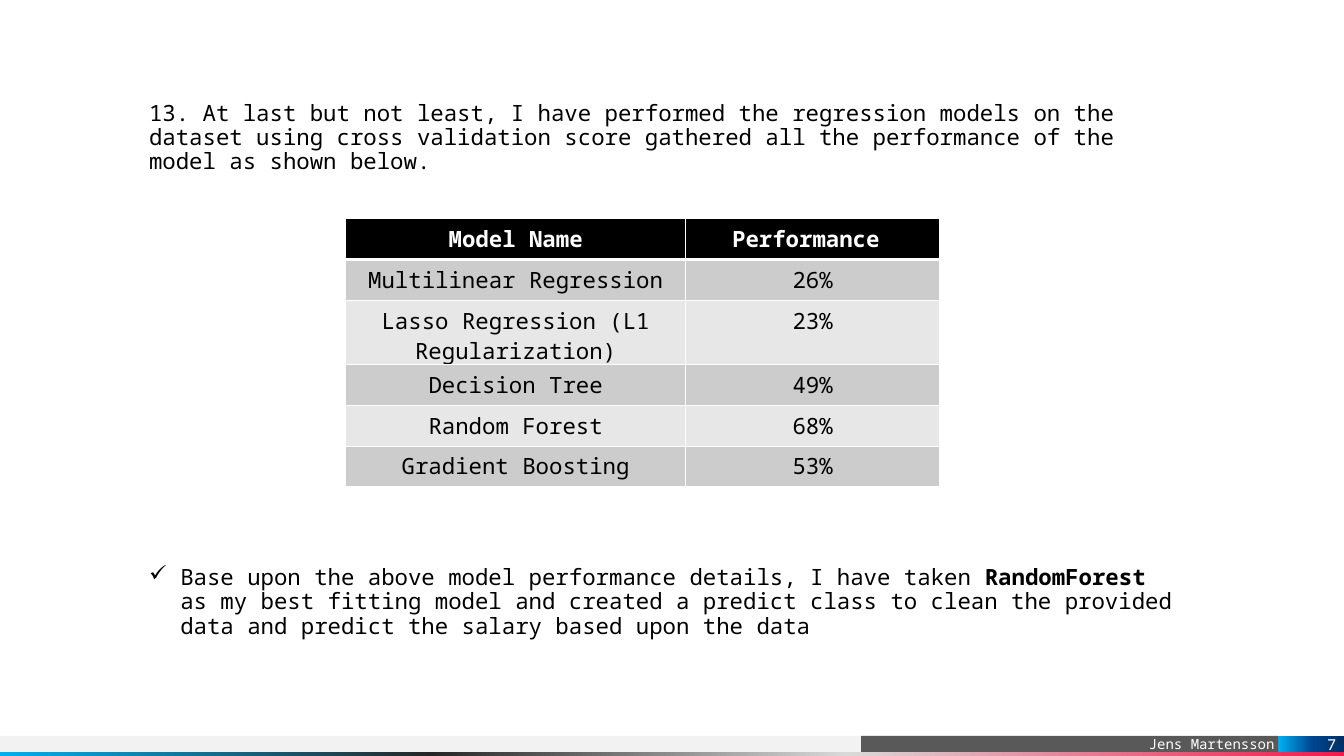
from lxml.etree import SubElement
from pptx import Presentation
from pptx.dml.color import RGBColor
from pptx.enum.shapes import MSO_SHAPE as Shape
from pptx.enum.text import MSO_ANCHOR as Anchor, MSO_AUTO_SIZE as AutoSize, PP_ALIGN as Align
from pptx.oxml.ns import qn
from pptx.util import Inches, Pt

INTRO = [("13. At last but not least, I have performed the regression models on the dataset "
          "using cross validation score gathered all the performance of the model as shown below.", False)]
MODELS = [
    ("Model Name", "Performance "),
    ("Multilinear Regression", "26%"),
    ("Lasso Regression (L1 Regularization)", "23%"),
    ("Decision Tree", "49%"),
    ("Random Forest", "68%"),
    ("Gradient Boosting", "53%"),
]
CONCLUSION = [
    ("Base upon the above model performance details, I have taken ", False),
    ("RandomForest ", True),
    (" as my best fitting model and created a predict class to clean the provided data "
     "and predict the salary based upon the data", False),
]
AUTHOR, PAGE = "Jens Martensson", "7"


class Theme:
    font, number_font = "Noto Sans Mono", "Calibri"
    body, footer, number = 16, 10, 12
    ink, paper = "000000", "FFFFFF"
    bands = ("E7E7E7", "CCCCCC")
    pale, dark = "F2F2F2", "595959"
    stripe = ((0, "F2194A"), (37, "D9D9D9"), (68, "262626"), (100, "00B0F0"))
    badge = ((0, "003065"), (47, "004490"), (100, "00B0F0"))


WIDTH, HEIGHT = 13.33, 7.5
LEFT = 1.38
TABLE_BOX = (3.43, 2.17, 5.89, 2.66)
COLUMNS = (3.37, 2.52)
ROW_HEIGHT = Pt(29.2)
STRIPE_HEIGHT, BAR_HEIGHT = 0.04, 0.16
BAR_TOP = HEIGHT - STRIPE_HEIGHT - BAR_HEIGHT
BADGE_WIDTH, AUTHOR_WIDTH = 0.65, 4.14


def write(frame, runs, size=Theme.body, font=Theme.font, color=Theme.ink,
          align=Align.LEFT, spacing=None, bullet=None):
    paragraph = frame.paragraphs[0]
    paragraph.alignment = align
    if spacing:
        paragraph.line_spacing = spacing
    if bullet:
        properties = paragraph._p.get_or_add_pPr()
        properties.set("marL", str(Inches(0.31)))
        properties.set("indent", str(-Inches(0.31)))
        SubElement(properties, qn("a:buChar")).set("char", bullet)
    for text, bold in runs:
        run = paragraph.add_run()
        run.text = text
        run.font.name, run.font.size, run.font.bold = font, Pt(size), bold
        run.font.color.rgb = RGBColor.from_string(color)


def add_text(slide, top, width, runs, **style):
    box = slide.shapes.add_textbox(*map(Inches, (LEFT, top, width, 0.91)))
    box.text_frame.word_wrap = True
    box.text_frame.auto_size = AutoSize.SHAPE_TO_FIT_TEXT
    write(box.text_frame, runs, spacing=0.9, **style)


def add_bar(slide, left, top, width, height, color=None, stops=()):
    bar = slide.shapes.add_shape(Shape.RECTANGLE, *map(Inches, (left, top, width, height)))
    bar.shadow.inherit = False
    bar.line.fill.background()
    if color:
        bar.fill.solid()
        bar.fill.fore_color.rgb = RGBColor.from_string(color)
        return bar
    bar.fill.gradient()
    gradient = bar._element.spPr.find(qn("a:gradFill"))
    gradient.find(qn("a:lin")).set("ang", str(180 * 60000))
    stop_list = gradient.find(qn("a:gsLst"))
    for stop in list(stop_list):
        stop_list.remove(stop)
    for position, stop_color in stops:
        stop = SubElement(stop_list, qn("a:gs"), pos=str(position * 1000))
        SubElement(stop, qn("a:srgbClr"), val=stop_color)
    return bar


def label_bar(bar, text, inset, anchor, left=0, **style):
    frame = bar.text_frame
    frame.margin_left, frame.margin_right = Inches(left), Inches(inset)
    frame.margin_top = frame.margin_bottom = 0
    frame.vertical_anchor = anchor
    write(frame, [(text, False)], color=Theme.paper, align=Align.RIGHT, **style)


def add_borders(cell, bottom):
    properties = cell._tc.get_or_add_tcPr()
    sides = (("lnL", 1), ("lnR", 1), ("lnT", 1), ("lnB", bottom))
    for index, (side, width) in enumerate(sides):
        line = properties.makeelement(qn(f"a:{side}"), {"w": str(Pt(width))})
        fill = SubElement(line, qn("a:solidFill"))
        SubElement(fill, qn("a:srgbClr"), val=Theme.paper)
        properties.insert(index, line)


def add_models(slide):
    frame = slide.shapes.add_table(len(MODELS), len(COLUMNS), *map(Inches, TABLE_BOX))
    table = frame.table
    for column, width in zip(table.columns, COLUMNS):
        column.width = Inches(width)
    for index, values in enumerate(MODELS):
        header = index == 0
        table.rows[index].height = ROW_HEIGHT
        for cell, value in zip(table.rows[index].cells, values):
            cell.fill.solid()
            cell.fill.fore_color.rgb = RGBColor.from_string(
                Theme.ink if header else Theme.bands[index % 2])
            add_borders(cell, 3 if header else 1)
            write(cell.text_frame, [(value, header)], align=Align.CENTER,
                  color=Theme.paper if header else Theme.ink)
    frame.height = Inches(TABLE_BOX[3])


def add_footer(slide):
    badge_left = WIDTH - BADGE_WIDTH
    add_bar(slide, 0, BAR_TOP, 10.28, BAR_HEIGHT, Theme.pale)
    author = add_bar(slide, badge_left - AUTHOR_WIDTH, BAR_TOP, AUTHOR_WIDTH, BAR_HEIGHT, Theme.dark)
    label_bar(author, AUTHOR, 0.04, Anchor.BOTTOM, left=0.1, size=Theme.footer)
    add_bar(slide, 0, HEIGHT - STRIPE_HEIGHT, WIDTH, STRIPE_HEIGHT, stops=Theme.stripe)
    badge = add_bar(slide, badge_left, BAR_TOP, BADGE_WIDTH, BAR_HEIGHT, stops=Theme.badge)
    label_bar(badge, PAGE, 0.08, Anchor.MIDDLE, size=Theme.number, font=Theme.number_font)


def main():
    presentation = Presentation()
    presentation.slide_width, presentation.slide_height = Inches(WIDTH), Inches(HEIGHT)
    slide = presentation.slides.add_slide(presentation.slide_layouts[6])
    add_footer(slide)
    add_text(slide, 0.96, 10.16, INTRO)
    add_models(slide)
    add_text(slide, 5.57, 10.56, CONCLUSION, bullet="✓")
    presentation.save("out.pptx")


if __name__ == "__main__":
    main()
